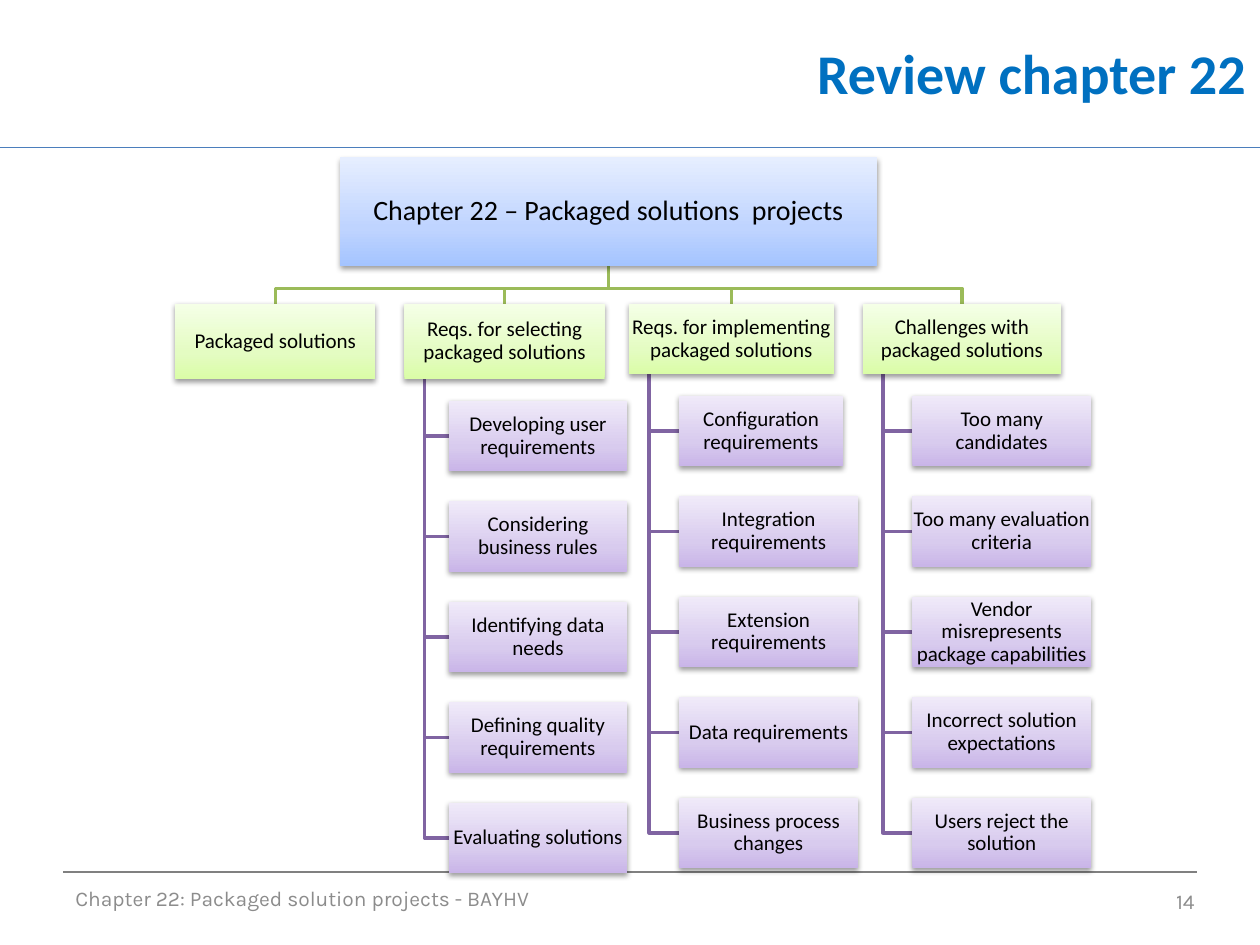
from copy import deepcopy

from lxml import etree
from pptx import Presentation
from pptx.dml.color import RGBColor
from pptx.enum import shapes, text
from pptx.oxml import ns
from pptx.util import Inches, Pt

BLUE = ("A4C4FF", "BFD4FF", "E6EEFF")
GREEN = ("DAFDA7", "E4FCC2", "F5FFE7")
PURPLE = ("C9B5E8", "D8CBEE", "F0EAF9")
GREEN_LINE, PURPLE_LINE = "9BBB59", "8064A2"

ROOT = (2.7, 1.25, 4.26, 0.86)
BRANCH_Y, BEND_Y = 2.41, 2.29
TOPIC_W, TOPIC_H = 1.42, 0.56
TOPIC_GAP = 0.17     # from a branch head to its first topic
TOPIC_SPAN = 3.19    # from the first topic's top to the last one's
TRUNK_INSET = 0.1    # share of the head's width left of the trunk

# head text, left, width, height, left edge of topics, topics
BRANCHES = [
    ("Packaged solutions", 1.39, 1.59, 0.6, None, []),
    ("Reqs. for selecting packaged solutions", 3.21, 1.59, 0.6, 3.56,
     ["Developing user requirements", "Considering business rules",
      "Identifying data needs", "Defining quality requirements",
      "Evaluating solutions"]),
    ("Reqs. for implementing packaged solutions", 4.99, 1.63, 0.56, 5.39,
     ["Configuration requirements", "Integration requirements",
      "Extension requirements", "Data requirements",
      "Business process changes"]),
    ("Challenges with packaged solutions", 6.85, 1.57, 0.56, 7.24,
     ["Too many candidates", "Too many evaluation criteria",
      "Vendor misrepresents package capabilities",
      "Incorrect solution expectations", "Users reject the solution"]),
]
TOPIC_WIDTHS = {"Configuration requirements": 1.3}


def rgb(value):
    return RGBColor.from_string(value)


def style(paragraph, size, color, font, align):
    paragraph.alignment = align
    paragraph.font.size = Pt(size)
    paragraph.font.name = font
    paragraph.font.color.rgb = rgb(color)


def add_gradient(shape, colors):
    """Fill from the bottom up with three colours."""
    shape.fill.gradient()
    shape.fill.gradient_angle = 90
    stop_list = shape._element.spPr.find(".//" + ns.qn("a:gsLst"))
    stop_list.append(deepcopy(stop_list[0]))
    for stop, position, color in zip(shape.fill.gradient_stops, (0, 0.35, 1), colors):
        stop.position = position
        stop.color.rgb = rgb(color)


def add_soft_shadow(shape):
    shape.shadow.inherit = False
    effects = shape._element.spPr.find(ns.qn("a:effectLst"))
    outer = etree.SubElement(effects, ns.qn("a:outerShdw"), blurRad="40000",
                             dist="20000", dir="5400000", rotWithShape="0")
    black = etree.SubElement(outer, ns.qn("a:srgbClr"), val="000000")
    etree.SubElement(black, ns.qn("a:alpha"), val="38000")


def add_box(slide, box, label, colors, size=12):
    shape = slide.shapes.add_shape(shapes.MSO_SHAPE.RECTANGLE, *map(Inches, box))
    add_gradient(shape, colors)
    shape.line.fill.background()
    add_soft_shadow(shape)
    frame = shape.text_frame
    frame.word_wrap = True
    frame.vertical_anchor = text.MSO_ANCHOR.MIDDLE
    frame.margin_left = frame.margin_right = Inches(0.01)
    frame.margin_top = frame.margin_bottom = Inches(0.01)
    label_line = frame.paragraphs[0]
    label_line.text = label
    label_line.line_spacing = 0.9
    style(label_line, size, "000000", "Calibri", text.PP_ALIGN.CENTER)


def add_elbow(slide, points, color):
    start, *rest = [(Inches(x), Inches(y)) for x, y in points]
    builder = slide.shapes.build_freeform(*start)
    builder.add_line_segments(rest, close=False)
    elbow = builder.convert_to_shape()
    elbow.fill.background()
    elbow.line.color.rgb = rgb(color)
    elbow.line.width = Pt(2)
    elbow.shadow.inherit = False


def add_branch(slide, box, head, topics_x, topics):
    """Place a branch head, its link to the root and its topics."""
    x, y, w, h = box
    root_x, root_bottom = ROOT[0] + ROOT[2] / 2, ROOT[1] + ROOT[3]
    middle, trunk_x = x + w / 2, x + TRUNK_INSET * w
    add_elbow(slide, [(root_x, root_bottom), (root_x, BEND_Y),
                      (middle, BEND_Y), (middle, y)], GREEN_LINE)

    tops = [y + h + TOPIC_GAP + i * TOPIC_SPAN / (len(topics) - 1)
            for i in range(len(topics))]
    for top in tops:
        topic_middle = top + TOPIC_H / 2
        add_elbow(slide, [(trunk_x, y + h), (trunk_x, topic_middle),
                          (topics_x, topic_middle)], PURPLE_LINE)
    add_box(slide, box, head, GREEN)
    for top, topic in zip(tops, topics):
        width = TOPIC_WIDTHS.get(topic, TOPIC_W)
        add_box(slide, (topics_x, top, width, TOPIC_H), topic, PURPLE)


def add_tree(slide):
    for head, x, w, h, topics_x, topics in BRANCHES:
        add_branch(slide, (x, BRANCH_Y, w, h), head, topics_x, topics)
    add_box(slide, ROOT, "Chapter 22 – Packaged solutions  projects", BLUE, 16)


def add_rule(slide, left, right, y, color):
    rule = slide.shapes.add_connector(shapes.MSO_CONNECTOR.STRAIGHT, Inches(left),
                                      Inches(y), Inches(right), Inches(y))
    rule.line.color.rgb = rgb(color)
    rule.line.width = Pt(0.75)
    etree.SubElement(rule._element.spPr, ns.qn("a:effectLst"))


def add_header(slide, box):
    add_rule(slide, 0, 10, 1.17, "4B7EBC")
    title = slide.shapes.title
    title.left, title.top, title.width, title.height = map(Inches, box)
    title.text_frame.text = "Review chapter 22"
    title.text_frame.vertical_anchor = text.MSO_ANCHOR.MIDDLE
    heading = title.text_frame.paragraphs[0]
    style(heading, 32, "0070C0", "Calibri", text.PP_ALIGN.RIGHT)
    heading.font.bold = True


def add_footer_text(slide, box, wording, align):
    frame = slide.shapes.add_textbox(*map(Inches, box)).text_frame
    frame.word_wrap = True
    frame.vertical_anchor = text.MSO_ANCHOR.MIDDLE
    frame.text = wording
    style(frame.paragraphs[0], 12, "8C8C8C", "Karla", align)


def add_footer(slide):
    add_rule(slide, 0.5, 9.5, 6.92, "808080")
    add_footer_text(slide, (0.5, 6.93, 6.67, 0.4),
                    "Chapter 22: Packaged solution projects - BAYHV", text.PP_ALIGN.LEFT)
    add_footer_text(slide, (7.25, 6.95, 2.33, 0.4), "14", text.PP_ALIGN.RIGHT)


def main():
    deck = Presentation()
    deck.slide_width, deck.slide_height = Inches(10), Inches(7.5)
    slide = deck.slides.add_slide(deck.slide_layouts[5])
    add_header(slide, (2.9, 0, 7.09, 1.15))
    add_footer(slide)
    add_tree(slide)
    deck.save("out.pptx")


if __name__ == "__main__":
    main()
